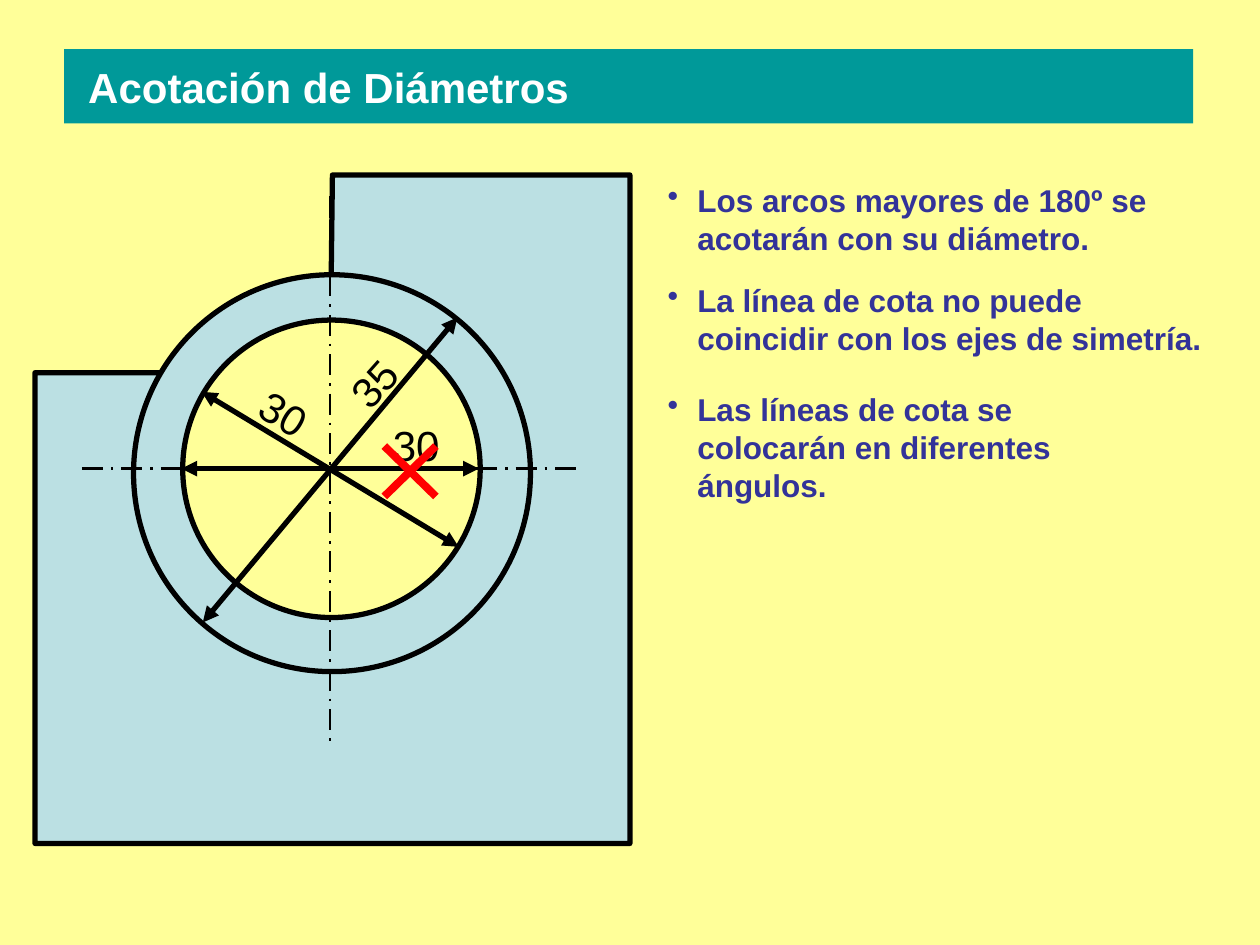
from pptx import Presentation
from pptx.dml.color import RGBColor
from pptx.enum.dml import MSO_LINE
from pptx.enum.shapes import MSO_CONNECTOR, MSO_SHAPE
from pptx.enum.text import MSO_ANCHOR, MSO_AUTO_SIZE, PP_ALIGN
from pptx.oxml.ns import qn
from pptx.util import Pt
from lxml import etree

STRAIGHT = MSO_CONNECTOR.STRAIGHT
OVAL = MSO_SHAPE.OVAL
LONG_DASH_DOT = MSO_LINE.LONG_DASH_DOT
MIDDLE, TOP = MSO_ANCHOR.MIDDLE, MSO_ANCHOR.TOP
LEFT = PP_ALIGN.LEFT
FIT_SHAPE, FIT_NONE = MSO_AUTO_SIZE.SHAPE_TO_FIT_TEXT, MSO_AUTO_SIZE.NONE

THEME = {
    "font": "Arial",
    "background": "FFFF99", "banner": "009999", "plate": "BBE0E3",
    "ink": "000000", "title": "FFFFFF", "body": "333399", "error": "FF0000",
    "title_size": 24, "label_size": 24, "body_size": 18,
    "outline": 3, "axis": 1.5, "cross": 4.5,
}

TITLE = "Acotación de Diámetros"
TITLE_BOX = (36.7, 28.1, 645.1, 42.5)
RULES = [
    ("Los arcos mayores de 180º se acotarán con su diámetro.", 100.1, 322.6),
    ("La línea de cota no puede coincidir con los ejes de simetría.", 157, 326.2),
    ("Las líneas de cota se colocarán en diferentes ángulos.", 219.6, 298.1),
]
RULE_LEFT, RULE_HEIGHT, RULE_INDENT = 374.4, 50.4, 17

PLATE = [(188.6, 182.9), (190, 100), (360, 100), (360, 482.4), (19.6, 482.4),
         (19.6, 213.1), (90.7, 213.1), (114.5, 225.4)]
CIRCLES = [((189.7, 270.4), 226.8, "plate"), ((189.4, 267.9), 170, "background")]
AXES = [((188.6, 112.3), (188.6, 424.1)), ((46.8, 267.8), (330.5, 267.8))]
DIMENSIONS = [
    ((261.4, 181.4), (115.9, 355.7), "35", (193, 200.9), 311.7),
    ((115.2, 223.9), (262.1, 312.5), "30", (141.8, 218.2), 30.8),
    ((103.7, 267.8), (273.6, 267.8), "30", (217.4, 236.2), 0),
]
LABEL_SIZE = (41, 36)
CROSS = (219.6, 254.9, 249.1, 283.7)


def color(name):
    return RGBColor.from_string(THEME[name])


def points(*values):
    return [Pt(value) for value in values]


def write(shape, text, size="body_size", ink="body", bold=False, wrap=True,
          anchor=TOP, fit=FIT_SHAPE, inset=7.2, indent=0):
    frame = shape.text_frame
    frame.word_wrap, frame.auto_size, frame.vertical_anchor = wrap, fit, anchor
    frame.margin_left, frame.margin_right = points(inset, 7.2)
    frame.margin_top = frame.margin_bottom = Pt(3.6)
    para = frame.paragraphs[0]
    para.alignment = LEFT
    span = para.add_run()
    span.text = text
    span.font.name, span.font.size, span.font.bold = THEME["font"], Pt(THEME[size]), bold
    span.font.color.rgb = color(ink)
    if indent:
        properties = para._p.get_or_add_pPr()
        properties.set("marL", str(Pt(indent)))
        properties.set("indent", str(-Pt(indent)))
        etree.SubElement(properties, qn("a:buChar"), char="•")


def paint(shape, fill):
    shape.shadow.inherit = False
    shape.fill.solid()
    shape.fill.fore_color.rgb = color(fill)
    shape.line.color.rgb = color("ink")
    shape.line.width = Pt(THEME["outline"])


def draw_line(shapes, start, end, ink="ink", width="outline", dash=None, arrows=False):
    line = shapes.add_connector(STRAIGHT, *points(*start, *end))
    line.line.color.rgb = color(ink)
    line.line.width = Pt(THEME[width])
    if dash:
        line.line.dash_style = dash
    properties = line._element.spPr
    if arrows:
        for tag in ("a:headEnd", "a:tailEnd"):
            etree.SubElement(properties.find(qn("a:ln")), qn(tag), type="triangle")
    etree.SubElement(properties, qn("a:effectLst"))


def draw_title(page):
    title = page.shapes.title
    title.left, title.top, title.width, title.height = points(*TITLE_BOX)
    title.fill.solid()
    title.fill.fore_color.rgb = color("banner")
    write(title, TITLE, size="title_size", ink="title", bold=True, wrap=False,
          anchor=MIDDLE, fit=FIT_NONE, inset=13.7)


def draw_part(page):
    outline = page.shapes.build_freeform(*PLATE[0], scale=Pt(1))
    outline.add_line_segments(PLATE[1:], close=True)
    paint(outline.convert_to_shape(), "plate")
    for (x, y), diameter, fill in CIRCLES:
        corner = (x - diameter / 2, y - diameter / 2)
        paint(page.shapes.add_shape(OVAL, *points(*corner, diameter, diameter)), fill)
    for start, end in AXES:
        draw_line(page.shapes, start, end, width="axis", dash=LONG_DASH_DOT)


def draw_dimensions(page):
    for start, end, value, corner, angle in DIMENSIONS:
        draw_line(page.shapes, start, end, arrows=True)
        label = page.shapes.add_textbox(*points(*corner, *LABEL_SIZE))
        label.rotation = angle
        write(label, value, size="label_size", ink="ink", wrap=False)
    left, top, right, bottom = CROSS
    cross = page.shapes.add_group_shape()
    for start, end in (((left, top), (right, bottom)), ((right, top), (left, bottom))):
        draw_line(cross.shapes, start, end, ink="error", width="cross")


def draw_rules(page):
    for text, top, width in RULES:
        box = page.shapes.add_textbox(*points(RULE_LEFT, top, width, RULE_HEIGHT))
        write(box, text, bold=True, indent=RULE_INDENT)


def main():
    deck = Presentation()
    deck.slide_width, deck.slide_height = points(720, 540)
    page = deck.slides.add_slide(deck.slide_layouts[5])
    page.background.fill.solid()
    page.background.fill.fore_color.rgb = color("background")
    draw_title(page)
    draw_part(page)
    draw_dimensions(page)
    draw_rules(page)
    deck.save("out.pptx")


if __name__ == "__main__":
    main()
